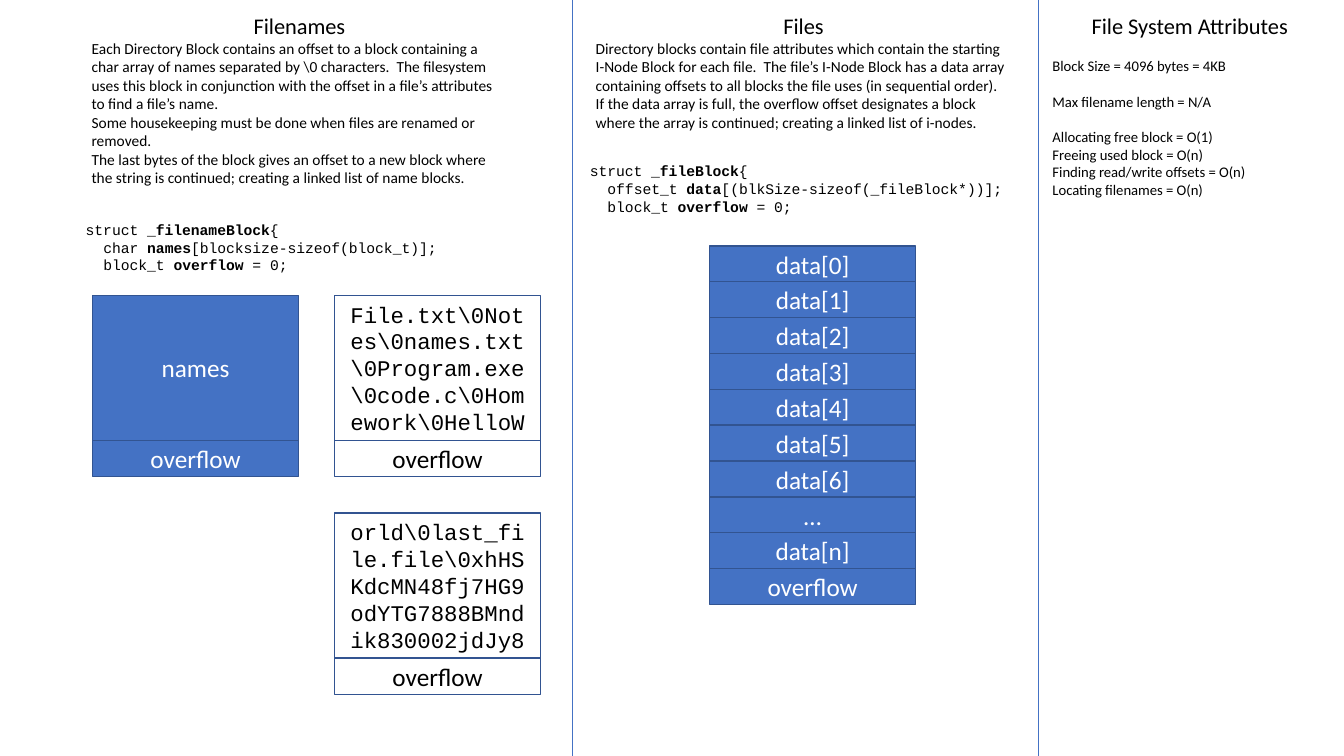
"""Build a slide on filename blocks, file blocks and file system attributes."""
from lxml.etree import SubElement
from pptx import Presentation
from pptx.dml.color import RGBColor
from pptx.enum.shapes import MSO_CONNECTOR, MSO_SHAPE
from pptx.enum.text import MSO_ANCHOR, MSO_AUTO_SIZE, PP_ALIGN
from pptx.oxml.ns import qn
from pptx.util import Inches, Pt

BLUE, EDGE, WHITE, BLACK = "4472C4", "325491", "FFFFFF", "000000"
SANS, MONO = "Calibri", "Courier New"
BOX_W, ROW_H, NAMES_H = 2.04, 0.36, 1.44
ROW_PITCH, CODE_INDENT, LINE_GAP = 0.3556, 0.175, 12.8

# (left, top, width, height), title, body size, [(text, blank lines before)]
COLUMNS = [
    ((0.81, 0.07, 4.32, 1.85), "Filenames", 11, [
        ("Each Directory Block contains an offset to a block containing a char array of names "
         "separated by \\0 characters.  The filesystem uses this block in conjunction with the "
         "offset in a file’s attributes to find a file’s name.", 0),
        ("Some housekeeping must be done when files are renamed or removed.", 0),
        ("The last bytes of the block gives an offset to a new block where the string is "
         "continued; creating a linked list of name blocks.", 0)]),
    ((5.81, 0.07, 4.32, 1.3), "Files", 11, [
        ("Directory blocks contain file attributes which contain the starting I-Node Block for "
         "each file.  The file’s I-Node Block has a data array containing offsets to all blocks "
         "the file uses (in sequential order).", 0),
        ("If the data array is full, the overflow offset designates a block where the array is "
         "continued; creating a linked list of i-nodes.", 0)]),
    ((10.34, 0.07, 2.92, 1.96), "File System Attributes", 10.5, [
        ("Block Size = 4096 bytes = 4KB", 1),
        ("Max filename length = N/A", 1),
        ("Allocating free block = O(1)", 1),
        ("Freeing used block = O(n)", 0),
        ("Finding read/write offsets = O(n)", 0),
        ("Locating filenames = O(n)", 0)]),
]
# Double asterisks enclose bold words; each line is (text, indent)
STRUCTS = [
    ((0.81, 2.15, 3.81, 0.78), [
        ("struct **_filenameBlock**{", 0),
        ("char **names**[blocksize-sizeof(block_t)];", CODE_INDENT),
        ("block_t **overflow** = 0;", CODE_INDENT)]),
    ((5.81, 1.57, 4.36, 0.68), [
        ("struct **_fileBlock**{", 0),
        ("offset_t **data**[(blkSize-sizeof(_fileBlock*))];", CODE_INDENT),
        ("block_t **overflow** = 0;", CODE_INDENT)]),
]
# left, top, text, text format, fill
NAME_BLOCKS = [
    (0.92, 2.93, "names", dict(size=18, color=WHITE), BLUE),
    (3.32, 2.93, "File.txt\\0Notes\\0names.txt\\0Program.exe\\0code.c\\0Homework\\0HelloW",
     dict(size=16, font=MONO), None),
    (3.32, 5.09, "orld\\0last_file.file\\0xhHSKdcMN48fj7HG9odYTG7888BMndik830002jdJy8",
     dict(size=16, font=MONO), None),
]
DATA_LEFT, DATA_TOP = 7.04, 2.44
DATA_ROWS = [f"data[{i}]" for i in range(7)] + ["…", "data[n]", "overflow"]
DIVIDERS = [5.68, 10.3]


def rgb(value):
    return RGBColor.from_string(value)


def add_text(tf, text, size=18, font=SANS, color=BLACK, align=PP_ALIGN.LEFT, before=0, indent=0):
    p = tf.paragraphs[0] if not tf.text else tf.add_paragraph()
    p.alignment = align
    p.space_before = Pt(before)
    if indent:
        p._p.get_or_add_pPr().set("marL", str(Inches(indent)))
    for i, part in enumerate(text.split("**")):
        r = p.add_run()
        r.text = part
        r.font.name, r.font.size, r.font.bold = font, Pt(size), i % 2 == 1
        r.font.color.rgb = rgb(color)


def add_frame(s, box, inset=None):
    tf = s.shapes.add_textbox(*map(Inches, box)).text_frame
    tf.word_wrap = True
    if inset is None:
        tf.auto_size = MSO_AUTO_SIZE.SHAPE_TO_FIT_TEXT
    else:
        tf.margin_left = tf.margin_top = tf.margin_right = tf.margin_bottom = Inches(inset)
    return tf


def add_box(s, left, top, height, text, fill=None, **style):
    sp = s.shapes.add_shape(MSO_SHAPE.RECTANGLE, *map(Inches, (left, top, BOX_W, height)))
    sp.shadow.inherit = False
    if fill:
        sp.fill.solid()
        sp.fill.fore_color.rgb = rgb(fill)
    else:
        sp.fill.background()
    sp.line.color.rgb = rgb(EDGE)
    sp.line.width = Pt(1)
    sp.text_frame.word_wrap = True
    sp.text_frame.vertical_anchor = MSO_ANCHOR.MIDDLE
    add_text(sp.text_frame, text, align=PP_ALIGN.CENTER, **style)


def add_divider(s, x, height):
    line = s.shapes.add_connector(MSO_CONNECTOR.STRAIGHT, Inches(x), 0, Inches(x), height)
    line.line.color.rgb = rgb(BLUE)
    line.line.width = Pt(0.5)
    SubElement(line._element.spPr, qn("a:effectLst"))


def main():
    prs = Presentation()
    prs.slide_width, prs.slide_height = Inches(13.33), Inches(7.5)
    s = prs.slides.add_slide(prs.slide_layouts[6])
    for box, title, size, lines in COLUMNS:
        tf = add_frame(s, box)
        add_text(tf, title, size=16, align=PP_ALIGN.CENTER)
        for text, blanks in lines:
            add_text(tf, text, size=size, before=blanks * LINE_GAP)
    for box, lines in STRUCTS:
        tf = add_frame(s, box, inset=0.04)
        for text, indent in lines:
            add_text(tf, text, size=10.5, font=MONO, indent=indent)
    for left, top, text, style, fill in NAME_BLOCKS:
        add_box(s, left, top, NAMES_H, text, fill, **style)
        add_box(s, left, top + NAMES_H, ROW_H, "overflow", fill, color=style.get("color", BLACK))
    for i, text in enumerate(DATA_ROWS):
        add_box(s, DATA_LEFT, DATA_TOP + i * ROW_PITCH, ROW_H, text, BLUE, color=WHITE)
    for x in DIVIDERS:
        add_divider(s, x, prs.slide_height)
    prs.save("out.pptx")


if __name__ == "__main__":
    main()
